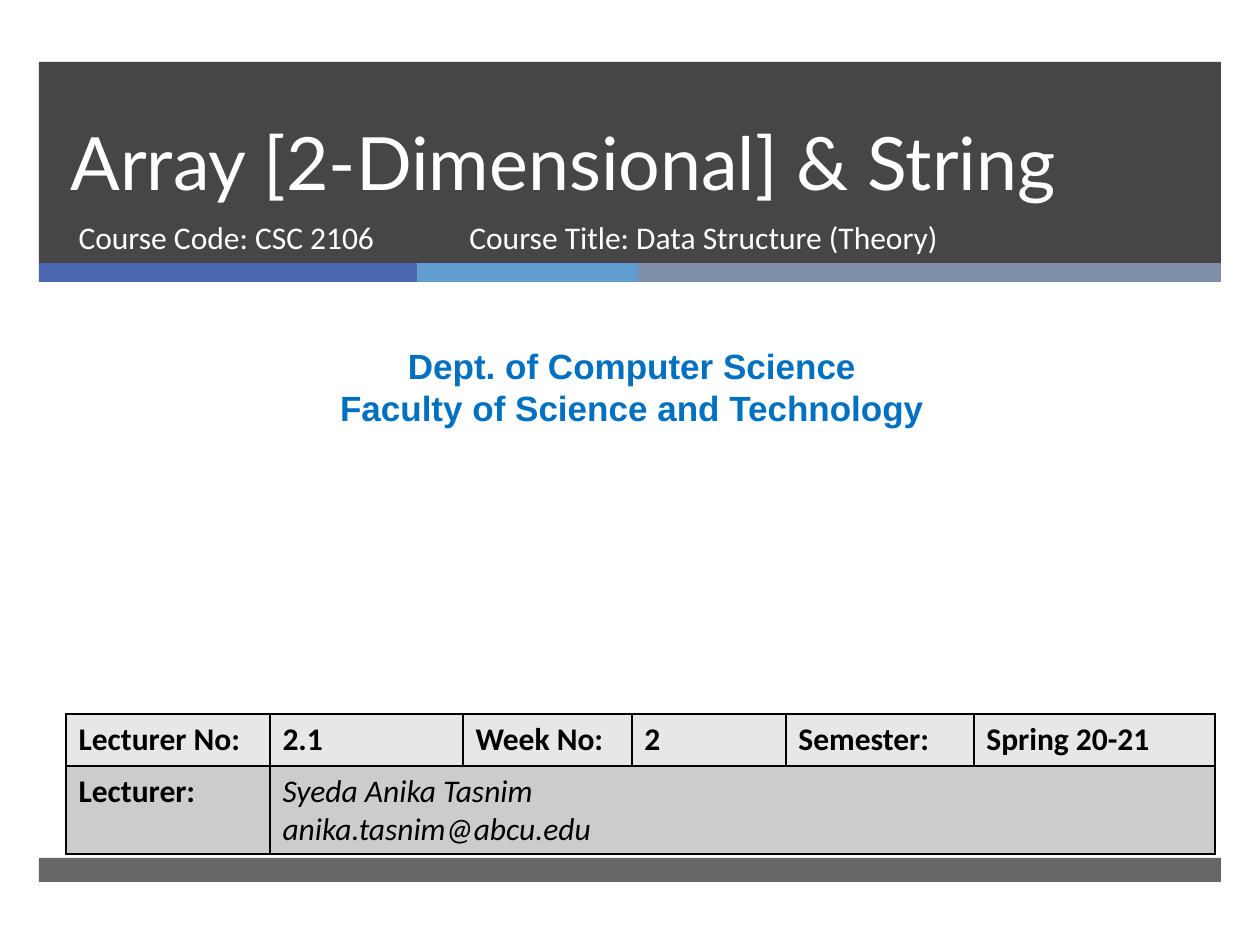
import pptx
import pptx.dml.color
import pptx.enum.shapes
import pptx.enum.text
import pptx.oxml
import pptx.oxml.ns
import pptx.util

EMU_PER_PIXEL = 914400 // 126
ALIGN = pptx.enum.text.PP_ALIGN
ANCHOR = pptx.enum.text.MSO_ANCHOR


def px(*lengths):
    return [pptx.util.Emu(length * EMU_PER_PIXEL) for length in lengths]


def color(hex_text):
    return pptx.dml.color.RGBColor.from_string(hex_text)


def write(frame, text, size=18, font="Calibri", ink="FFFFFF", bold=False,
          italic=False, align=ALIGN.LEFT, anchor=ANCHOR.TOP, spacing=None):
    frame.word_wrap = True
    frame.vertical_anchor = anchor
    for index, line in enumerate(text.split("\n")):
        paragraph = frame.add_paragraph() if index else frame.paragraphs[0]
        paragraph.alignment = align
        paragraph.space_before = pptx.util.Pt(0)
        if spacing:
            paragraph.line_spacing = pptx.util.Pt(spacing)
        run = paragraph.add_run()
        run.text = line
        run.font.size = pptx.util.Pt(size)
        run.font.name = font
        run.font.bold = bold
        run.font.italic = italic
        run.font.color.rgb = color(ink)


def add_band(shapes, box, fill, opacity=100):
    band = shapes.add_shape(pptx.enum.shapes.MSO_SHAPE.RECTANGLE, *px(*box))
    band.shadow.inherit = False
    band.fill.solid()
    band.fill.fore_color.rgb = color(fill)
    band.line.fill.background()
    if opacity < 100:
        tint = band.element.xpath("./p:spPr/a:solidFill/a:srgbClr")[0]
        alpha = pptx.oxml.parse_xml(
            f'<a:alpha {pptx.oxml.ns.nsdecls("a")} val="{opacity * 1000}"/>')
        tint.append(alpha)


def fill_placeholder(placeholder, box, text, **style):
    placeholder.left, placeholder.top, placeholder.width, placeholder.height = px(*box)
    placeholder.text_frame.auto_size = pptx.enum.text.MSO_AUTO_SIZE.NONE
    write(placeholder.text_frame, text, **style)
    placeholder.element.getparent().append(placeholder.element)


def add_text(slide, box, text, **style):
    write(slide.shapes.add_textbox(*px(*box)).text_frame, text, **style)


def format_cell(cell, fill):
    properties = cell._tc.get_or_add_tcPr()
    for side in ("lnL", "lnR", "lnT", "lnB"):
        properties.append(pptx.oxml.parse_xml(
            f'<a:{side} {pptx.oxml.ns.nsdecls("a")} w="12700"><a:solidFill>'
            f'<a:srgbClr val="000000"/></a:solidFill></a:{side}>'))
    cell.fill.solid()
    cell.fill.fore_color.rgb = color(fill)


def add_lecture_table(slide):
    widths = [204, 193, 169, 154, 188, 241]
    heights = [52, 88]
    fills = ["E7E7E7", "CCCCCC"]
    headings = ["Lecturer No:", "2.1", "Week No:", "2", "Semester:", "Spring 20-21"]
    frame = slide.shapes.add_table(
        len(heights), len(widths), *px(66, 714, sum(widths), sum(heights)))
    lecture = frame.table
    for column, width in zip(lecture.columns, px(*widths)):
        column.width = width
    for row, height, fill in zip(lecture.rows, px(*heights), fills):
        row.height = height
        for cell in row.cells:
            format_cell(cell, fill)
    for index, heading in enumerate(headings):
        write(lecture.cell(0, index).text_frame, heading, ink="000000", bold=True)
    write(lecture.cell(1, 0).text_frame, "Lecturer:", ink="000000", bold=True)
    lecturer = lecture.cell(1, 1)
    lecturer.merge(lecture.cell(1, len(widths) - 1))
    write(lecturer.text_frame, "Syeda Anika Tasnim\nanika.tasnim@abcu.edu",
          ink="000000", italic=True)


def main():
    deck = pptx.Presentation()
    deck.slide_width, deck.slide_height = px(1260, 945)
    slide = deck.slides.add_slide(deck.slide_layouts[0])
    title, course_code = slide.placeholders

    add_band(slide.shapes, (39, 62, 1182, 202), "262626", opacity=85)
    stripes = slide.shapes.add_group_shape().shapes
    left = 39
    for width, fill in ((378, "4A66AC"), (221, "629DD1"), (583, "7F8FA9")):
        add_band(stripes, (left, 263, width, 19), fill)
        left += width
    add_band(slide.shapes, (39, 858, 1182, 24), "262626", opacity=70)

    fill_placeholder(title, (58, 62, 1076, 150), "Array [2-Dimensional] & String",
                     size=42, font="Lato", anchor=ANCHOR.BOTTOM, spacing=46)
    fill_placeholder(course_code, (66, 212, 384, 67), "Course Code: CSC 2106")
    add_text(slide, (10, 338, 1244, 97),
             "Dept. of Computer Science\nFaculty of Science and Technology",
             size=20, font="Arial", ink="0070C0", bold=True, align=ALIGN.CENTER)
    add_lecture_table(slide)
    add_text(slide, (457, 212, 573, 67), "Course Title: Data Structure (Theory)")
    deck.save("out.pptx")


main()
